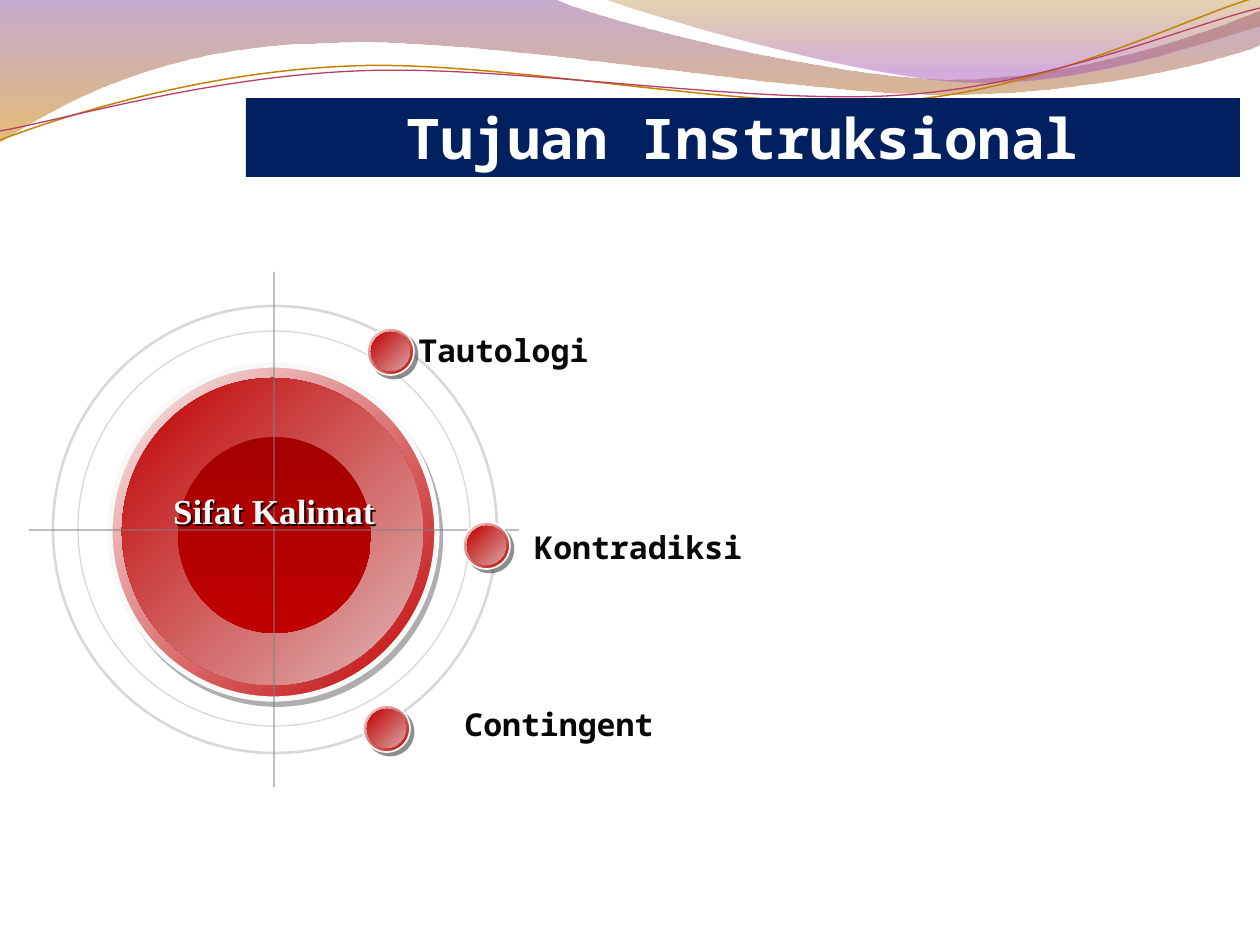
"""Build the "Tujuan Instruksional" slide with its target diagram."""
from lxml.etree import SubElement as Sub
from pptx import Presentation
from pptx.dml.color import RGBColor as RGB
from pptx.enum.shapes import MSO_CONNECTOR as LINK, MSO_SHAPE as FORM
from pptx.enum.text import MSO_ANCHOR as ANCHOR, MSO_AUTO_SIZE as AUTO, PP_ALIGN as ALIGN
from pptx.oxml.ns import qn
from pptx.util import Emu, Pt

SCALE = 914400 / 126
NAVY = RGB(0x00, 0x20, 0x60)
WHITE = RGB(0xFF, 0xFF, 0xFF)
PALE = RGB(0xF8, 0xF8, 0xF8)
INK = RGB(0x08, 0x08, 0x08)
BLACK = RGB(0x00, 0x00, 0x00)
COAL = RGB(0x1C, 0x1C, 0x1C)
SLATE = RGB(0x5F, 0x5F, 0x5F)
GRAY = RGB(0x80, 0x80, 0x80)
SILVER = RGB(0xB2, 0xB2, 0xB2)
RED = RGB(0xC0, 0x00, 0x00)
WINE = RGB(0xA4, 0x00, 0x00)
BLUSH = RGB(0xF9, 0xF2, 0xF2)
ROSE = RGB(0xE0, 0xB6, 0xB6)
PETAL = RGB(0xEF, 0xDC, 0xDC)
CORAL = RGB(0xDA, 0xA4, 0xA4)
PLUM = RGB(0x83, 0x45, 0x91)
AMBER = RGB(0xCF, 0x87, 0x00)
BRONZE = RGB(0xA9, 0x6E, 0x00)
LILAC = RGB(0xA1, 0x4B, 0xB4)
GOLD = RGB(0xC4, 0x82, 0x05)
PINK = RGB(0xB8, 0x3D, 0x68)
MONO = "Noto Sans Mono"
SERIF = "Times New Roman"


def px(num):
    return Emu(round(num * SCALE))


def fade(node, *rates):
    for tint, rate in zip(node.iter(qn("a:srgbClr")), rates):
        Sub(tint, qn("a:alpha"), val=str(rate * 1000))


def write(frame, text, size=18, font=MONO, color=INK, align=ALIGN.LEFT):
    para = frame.paragraphs[0]
    para.alignment = align
    run = para.add_run()
    run.text = text
    run.font.size, run.font.name, run.font.bold = Pt(size), font, True
    run.font.color.rgb = color


class Board:
    def __init__(self, slide, font=MONO, ink=INK):
        self.shapes, self.font, self.ink = slide.shapes, font, ink

    def paint(self, shape, fill=None, line=None, angle=45, rates=(), stops=(0, 1)):
        shape.shadow.inherit = False
        if isinstance(fill, RGB):
            shape.fill.solid()
            shape.fill.fore_color.rgb = fill
        elif fill:
            shape.fill.gradient()
            shape.fill.gradient_angle = 360 - angle
            for stop, tint, spot in zip(shape.fill.gradient_stops, fill, stops):
                stop.color.rgb, stop.position = tint, spot
            fade(shape._element.spPr, *rates)
        else:
            shape.fill.background()
        if line:
            self.stroke(shape, *line)
        else:
            shape.line.fill.background()

    def stroke(self, shape, color, width, rate=100):
        shape.line.color.rgb, shape.line.width = color, Pt(width)
        if rate < 100:
            fade(shape._element.spPr.find(qn("a:ln")), rate)

    def shade(self, shape, color, dist, angle=45, rate=50):
        shape.shadow.inherit = False
        list_ = shape._element.spPr.find(qn("a:effectLst"))
        drop = Sub(list_, qn("a:outerShdw"), blurRad="0", dist=str(Pt(dist)),
                   dir=str(angle * 60000), algn="ctr", rotWithShape="0")
        Sub(drop, qn("a:srgbClr"), val=str(color))
        fade(drop, rate)

    def form(self, kind, box, **look):
        shape = self.shapes.add_shape(kind, *map(px, box))
        self.paint(shape, **look)
        return shape

    def curve(self, start, parts, close=False, **look):
        pen = self.shapes.build_freeform(*map(px, start))
        spots = [pair for part in parts for pair in zip(part[::2], part[1::2])]
        pen.add_line_segments([(px(x), px(y)) for x, y in spots], close=close)
        shape = pen.convert_to_shape()
        path = next(shape._element.iter(qn("a:path")))
        steps = iter(path.findall(qn("a:lnTo")))
        for part in parts:
            group = [next(steps) for _ in range(len(part) // 2)]
            if len(group) == 3:
                bend = Sub(path, qn("a:cubicBezTo"))
                path.replace(group[0], bend)
                for step in group:
                    bend.append(step[0])
                    if step is not group[0]:
                        path.remove(step)
        self.paint(shape, **look)

    def ball(self, left, top):
        rim = self.form(FORM.OVAL, (left, top, 47, 47), fill=(PETAL, RED), line=(PALE, 1))
        self.shade(rim, COAL, 2.8)
        self.form(FORM.OVAL, (left + 4, top + 4, 39, 39), fill=(RED, CORAL))

    def link(self, *ends):
        line = self.shapes.add_connector(LINK.STRAIGHT, *map(px, ends))
        self.stroke(line, GRAY, 1, 50)
        Sub(line._element.spPr, qn("a:effectLst"))

    def label(self, text, box, **look):
        shape = self.shapes.add_textbox(*map(px, box))
        frame = shape.text_frame
        frame.word_wrap, frame.auto_size = True, AUTO.SHAPE_TO_FIT_TEXT
        write(frame, text, **{"font": self.font, "color": self.ink, **look})
        return shape

    def title(self, text, box):
        frame = self.form(FORM.RECTANGLE, box, fill=NAVY).text_frame
        frame.vertical_anchor = ANCHOR.MIDDLE
        write(frame, text, size=32, font=self.font, color=WHITE, align=ALIGN.CENTER)


def main():
    deck = Presentation()
    deck.slide_width, deck.slide_height = px(1260), px(945)
    board = Board(deck.slides.add_slide(deck.slide_layouts[6]))

    board.curve((0, 0), [
        (554, -1), (600, 21, 837, 79, 955, 79), (1075, 79, 1207, 33, 1260, 11),
        (1261, 45), (1239, 55, 1096, 96, 940, 94), (783, 94, 481, 35, 324, 43),
        (163, 45, 58, 105, -1, 142),
    ], close=True, fill=(PLUM, AMBER), angle=90, rates=(45, 55))
    board.curve((604, -1), [
        (641, 14, 859, 78, 969, 82), (1079, 87, 1211, 40, 1260, 26), (1260, 0),
    ], close=True, fill=(BRONZE, LILAC), angle=90, rates=(30, 45), stops=(0, 0.8))
    board.curve((0, 140), [
        (60, 117, 199, 72, 349, 66), (498, 59, 747, 112, 898, 101),
        (1050, 89, 1182, 19, 1257, -3),
    ], line=(GOLD, 0.85))
    board.curve((0, 131), [
        (59, 121, 207, 77, 357, 71), (508, 64, 752, 106, 903, 95),
        (1053, 84, 1186, 26, 1260, 8),
    ], line=(PINK, 0.75))
    board.title("Tujuan Instruksional", (246, 98, 994, 79))

    board.form(FORM.OVAL, (78, 331, 392, 395), line=(SILVER, 0.75, 50))
    disc = board.form(FORM.OVAL, (110, 365, 327, 334), fill=(BLUSH, RED), line=(PALE, 3))
    board.shade(disc, SLATE, 3.6, angle=56)
    board.form(FORM.OVAL, (122, 378, 301, 307), fill=(RED, ROSE))
    board.form(FORM.OVAL, (178, 437, 193, 196), fill=(WINE, RED), angle=90)
    board.form(FORM.OVAL, (53, 306, 444, 447), line=(SILVER, 1.5, 50))
    board.link(29, 530, 519, 530)
    board.link(274, 272, 274, 787)
    core = board.label("Sifat Kalimat", (137, 483, 274, 55), size=20, font=SERIF,
                       color=PALE, align=ALIGN.CENTER)
    board.shade(core, BLACK, 1.6, rate=90)

    for text, spot, box in (
        ("Tautologi", (367, 328), (406, 325, 716, 50)),
        ("Kontradiksi", (463, 522), (522, 522, 591, 50)),
        ("Contingent", (363, 705), (452, 699, 441, 50)),
    ):
        board.ball(*spot)
        board.label(text, box)
    deck.save("out.pptx")


if __name__ == "__main__":
    main()
